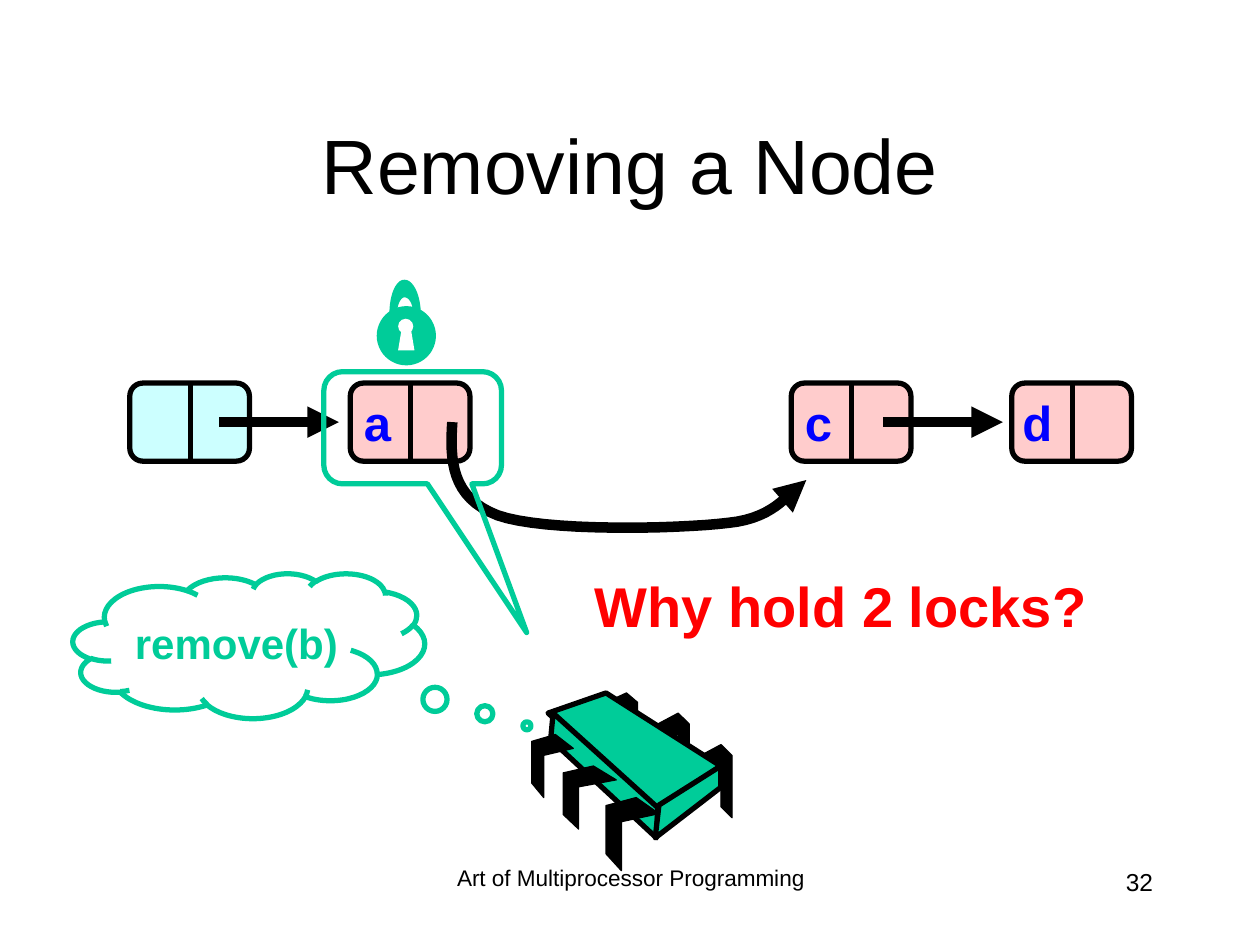
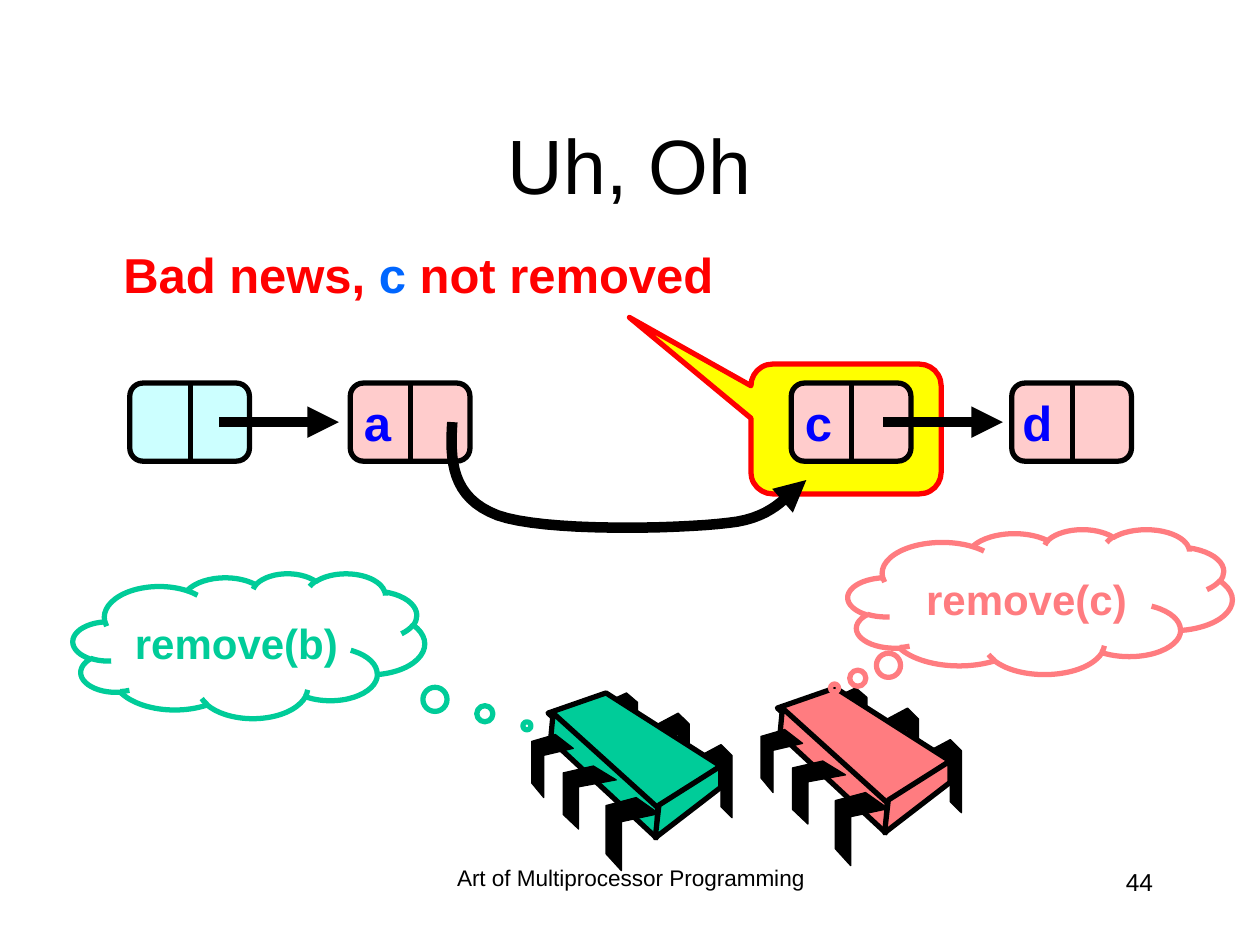
import dataclasses
import typing

import lxml.etree
import pptx
import pptx.dml.color
import pptx.enum.shapes
import pptx.enum.text
import pptx.oxml.ns
import pptx.shapes.autoshape
import pptx.shapes.shapetree
import pptx.slide
import pptx.util

Inches = pptx.util.Inches
Align = pptx.enum.text.PP_ALIGN
Preset = pptx.enum.shapes.MSO_SHAPE
Shapes = typing.Union[pptx.shapes.shapetree.SlideShapes, pptx.shapes.shapetree.GroupShapes]
Point = tuple[float, float]
Box = tuple[float, float, float, float]

# Shared look
FONT = "Arial"
FOOTER = "Art of Multiprocessor Programming"
BLACK, WHITE, RED, YELLOW = "000000", "FFFFFF", "FF0000", "FFFF00"
GREEN, PINK = "00CC99", "FF7C80"
HEAD_FILL, NODE_FILL = "CCFFFF", "FFCCCC"
LABEL_BLUE, WORD_BLUE = "0000FF", "0066FF"
OUTLINE, ARROW = 3, 6
NODE_TOP, NODE_WIDTH, NODE_HEIGHT = 3.04, 0.95, 0.62
ROUNDING = 0.167


@dataclasses.dataclass(frozen=True)
class Node:
    left: float
    fill: str
    label: str = ""
    label_width: float = 0.41


@dataclasses.dataclass(frozen=True)
class Thought:
    text: str
    box: Box
    tail: Point
    color: str


@dataclasses.dataclass(frozen=True)
class TextRun:
    text: str
    color: str = BLACK


NODES = (
    Node(1.03, HEAD_FILL),
    Node(2.78, NODE_FILL, "a"),
    Node(6.28, NODE_FILL, "c"),
    Node(8.03, NODE_FILL, "d", 0.44),
)
ARROW_STARTS = (1.74, 7.01)
REMOVE_B = Thought("remove(b)", (0.58, 4.55, 2.79, 1.15), (0.791, 0.553), GREEN)
REMOVE_C = Thought("remove(c)", (6.73, 4.2, 3.05, 1.15), (-0.535, 0.596), PINK)

# Chip legs: outlines as fractions of their boxes
BACK_LEG = ((0, 0.15), (0.65, 0), (1, 0.15), (1, 1), (0.65, 0.85), (0.65, 0.28), (0, 0.43))
FRONT_LEG = ((0.57, 0), (1, 0.22), (0.29, 0.33), (0.29, 1), (0, 0.77), (0, 0.11))
BACK_LEG_BOXES = ((5.56, 5.91, 0.25, 0.58), (5.22, 5.66, 0.25, 0.58), (4.81, 5.5, 0.25, 0.5))
FRONT_LEG_BOXES = ((4.81, 6.33, 0.42, 0.58), (4.47, 6.08, 0.42, 0.5), (4.22, 5.83, 0.33, 0.5))
CHIP_FACES = (
    ((4.81, 5.5), (5.72, 6.08), (5.21, 6.43), (4.35, 5.66)),
    ((4.39, 5.66), (5.22, 6.41), (5.21, 6.65), (4.37, 5.87)),
    ((5.72, 6.08), (5.72, 6.25), (5.2, 6.65), (5.23, 6.39)),
)


def rgb(color: str) -> pptx.dml.color.RGBColor:
    return pptx.dml.color.RGBColor.from_string(color)


def style_shape(shape: pptx.shapes.autoshape.Shape, fill: str = "",
                line: str = "", width: float = OUTLINE) -> None:
    shape.shadow.inherit = False
    if fill:
        shape.fill.solid()
        shape.fill.fore_color.rgb = rgb(fill)
    else:
        shape.fill.background()
    if line:
        shape.line.color.rgb = rgb(line)
        shape.line.width = pptx.util.Pt(width)
    else:
        shape.line.fill.background()


def add_preset(shapes: Shapes, kind: Preset, box: Box, fill: str = "", line: str = "",
               adjustments: tuple[float, ...] = ()) -> pptx.shapes.autoshape.Shape:
    shape = shapes.add_shape(kind, *map(Inches, box))
    for index, value in enumerate(adjustments):
        shape.adjustments[index] = value
    style_shape(shape, fill, line)
    return shape


def add_outline(shapes: Shapes, points: typing.Sequence[Point], fill: str = "", line: str = "",
                width: float = OUTLINE, close: bool = True) -> pptx.shapes.autoshape.Shape:
    corners = [(Inches(x), Inches(y)) for x, y in points]
    builder = shapes.build_freeform(*corners[0])
    builder.add_line_segments(corners[1:], close=close)
    shape = builder.convert_to_shape()
    style_shape(shape, fill, line, width)
    return shape


def curve(start: Point, *segments: tuple[Point, Point, Point], steps: int = 16) -> list[Point]:
    """Points along a chain of cubic Bezier segments."""
    points = [start]
    for first, second, end in segments:
        controls = (points[-1], first, second, end)
        for step in range(1, steps + 1):
            t = step / steps
            weights = ((1 - t) ** 3, 3 * t * (1 - t) ** 2, 3 * t * t * (1 - t), t ** 3)
            points.append((sum(w * p[0] for w, p in zip(weights, controls)),
                           sum(w * p[1] for w, p in zip(weights, controls))))
    return points


def add_arrowhead(shape: typing.Any) -> None:
    line = shape.element.spPr.find(pptx.oxml.ns.qn("a:ln"))
    lxml.etree.SubElement(line, pptx.oxml.ns.qn("a:tailEnd"), type="triangle")


def add_line(shapes: Shapes, start: Point, end: Point, width: float, arrow: bool = False) -> None:
    connector = shapes.add_connector(pptx.enum.shapes.MSO_CONNECTOR.STRAIGHT,
                                     *map(Inches, start + end))
    connector.line.color.rgb = rgb(BLACK)
    connector.line.width = pptx.util.Pt(width)
    lxml.etree.SubElement(connector.element.spPr, pptx.oxml.ns.qn("a:effectLst"))
    if arrow:
        add_arrowhead(connector)


def write_text(shape: pptx.shapes.autoshape.Shape, runs: typing.Sequence[TextRun], size: float,
               align: Align, bold: bool, middle: bool = False) -> None:
    frame = shape.text_frame
    if middle:
        frame.vertical_anchor = pptx.enum.text.MSO_ANCHOR.MIDDLE
    paragraph = frame.paragraphs[0]
    paragraph.alignment = align
    for item in runs:
        run = paragraph.add_run()
        run.text = item.text
        run.font.name = FONT
        run.font.size = pptx.util.Pt(size)
        run.font.bold = bold
        run.font.color.rgb = rgb(item.color)


def add_text(shapes: Shapes, box: Box, runs: typing.Sequence[TextRun], size: float,
             align: Align = Align.CENTER, bold: bool = False, middle: bool = False,
             wrap: bool = True) -> pptx.shapes.autoshape.Shape:
    shape = shapes.add_textbox(*map(Inches, box))
    shape.text_frame.word_wrap = wrap
    write_text(shape, runs, size, align, bold, middle)
    return shape


def add_node(slide: pptx.slide.Slide, node: Node) -> None:
    shapes = slide.shapes.add_group_shape().shapes
    add_preset(shapes, Preset.ROUNDED_RECTANGLE, (node.left, NODE_TOP, NODE_WIDTH, NODE_HEIGHT),
               node.fill, BLACK, (ROUNDING,))
    middle = node.left + 0.48
    add_line(shapes, (middle, 3.03), (middle, 3.67), OUTLINE)
    if node.label:
        box = (node.left + 0.42 - node.label_width, 3.07, node.label_width, 0.57)
        add_text(shapes, box, [TextRun(node.label, LABEL_BLUE)], 28, Align.RIGHT, True, wrap=False)


def add_linked_list(slide: pptx.slide.Slide) -> None:
    for node in NODES:
        add_node(slide, node)
    for start in ARROW_STARTS:
        add_line(slide.shapes, (start, 3.35), (start + 0.95, 3.35), ARROW, arrow=True)
    # Link from a around the removed node to c
    bypass = curve((3.59, 3.35),
                   ((3.57, 3.65), (3.58, 3.95), (3.95, 4.09)),
                   ((4.31, 4.22), (5.37, 4.2), (5.78, 4.15)),
                   ((6.18, 4.11), (6.27, 3.88), (6.4, 3.81)))
    add_arrowhead(add_outline(slide.shapes, bypass, line=BLACK, width=ARROW, close=False))


def add_chip(slide: pptx.slide.Slide, color: str, shift: Point = (0, 0)) -> None:
    shapes = slide.shapes.add_group_shape().shapes
    shift_x, shift_y = shift

    def add_legs(outline: typing.Sequence[Point], boxes: typing.Sequence[Box]) -> None:
        for left, top, width, height in boxes:
            points = [(left + shift_x + x * width, top + shift_y + y * height) for x, y in outline]
            add_outline(shapes, points, BLACK, BLACK, 0.75)

    add_legs(BACK_LEG, BACK_LEG_BOXES)
    for face in CHIP_FACES:
        add_outline(shapes, [(x + shift_x, y + shift_y) for x, y in face], color, BLACK)
    add_legs(FRONT_LEG, FRONT_LEG_BOXES)


def add_lock(slide: pptx.slide.Slide) -> None:
    shapes = slide.shapes.add_group_shape().shapes
    add_preset(shapes, Preset.OVAL, (2.99, 2.43, 0.47, 0.47), GREEN)
    add_preset(shapes, Preset.OVAL, (3.16, 2.53, 0.12, 0.12), WHITE)
    add_outline(shapes, ((3.16, 2.78), (3.19, 2.6), (3.26, 2.6), (3.29, 2.78)), WHITE)
    inner = curve((3.15, 2.5), ((3.15, 2.42), (3.18, 2.36), (3.21, 2.36)),
                  ((3.25, 2.36), (3.28, 2.42), (3.28, 2.5)))
    outer = curve((3.34, 2.5), ((3.34, 2.34), (3.28, 2.22), (3.21, 2.22)),
                  ((3.14, 2.22), (3.09, 2.34), (3.09, 2.5)))
    add_outline(shapes, inner + outer, GREEN)


def add_thought(slide: pptx.slide.Slide, thought: Thought) -> None:
    cloud = add_preset(slide.shapes, Preset.CLOUD_CALLOUT, thought.box, "", thought.color,
                       thought.tail)
    write_text(cloud, [TextRun(thought.text, thought.color)], 24, Align.CENTER, True, True)


def add_callout(slide: pptx.slide.Slide, box: Box, tail: Point, line: str, fill: str = "") -> None:
    add_preset(slide.shapes, Preset.ROUNDED_RECTANGULAR_CALLOUT, box, fill, line,
               tail + (ROUNDING,))


def new_slide(presentation: typing.Any, title: str, number: int) -> pptx.slide.Slide:
    slide = presentation.slides.add_slide(presentation.slide_layouts[6])
    footer = add_text(slide.shapes, (3.42, 6.83, 3.17, 0.5), [TextRun(FOOTER)], 12.9)
    footer.text_frame.paragraphs[0].line_spacing = 0.9
    add_text(slide.shapes, (7.17, 6.83, 2.08, 0.5), [TextRun(str(number))], 14, Align.RIGHT)
    add_text(slide.shapes, (0.75, 0.67, 8.5, 1.25), [TextRun(title)], 44, middle=True)
    return slide


def add_removing_slide(presentation: typing.Any) -> None:
    slide = new_slide(presentation, "Removing a Node", 32)
    add_linked_list(slide)
    add_chip(slide, GREEN)
    add_callout(slide, (2.57, 2.95, 1.41, 0.89), (0.642, 1.826), GREEN)
    add_thought(slide, REMOVE_B)
    add_lock(slide)
    add_text(slide.shapes, (3.85, 4.49, 5.65, 0.64), [TextRun("Why hold 2 locks?", RED)], 32,
             bold=True)


def add_uh_oh_slide(presentation: typing.Any) -> None:
    slide = new_slide(presentation, "Uh, Oh", 44)
    add_callout(slide, (5.96, 2.89, 1.51, 1.03), (-1.139, -0.86), RED, YELLOW)
    add_linked_list(slide)
    add_chip(slide, GREEN)
    add_chip(slide, PINK, (1.82, -0.04))
    news = [TextRun("Bad news, ", RED), TextRun("c", WORD_BLUE), TextRun(" not removed", RED)]
    add_text(slide.shapes, (0.88, 1.89, 4.88, 0.57), news, 28, Align.RIGHT, True, wrap=False)
    add_thought(slide, REMOVE_B)
    add_thought(slide, REMOVE_C)


def main() -> None:
    presentation = pptx.Presentation()
    presentation.slide_width = Inches(10)
    presentation.slide_height = Inches(7.5)
    add_removing_slide(presentation)
    add_uh_oh_slide(presentation)
    presentation.save("out.pptx")


if __name__ == "__main__":
    main()
